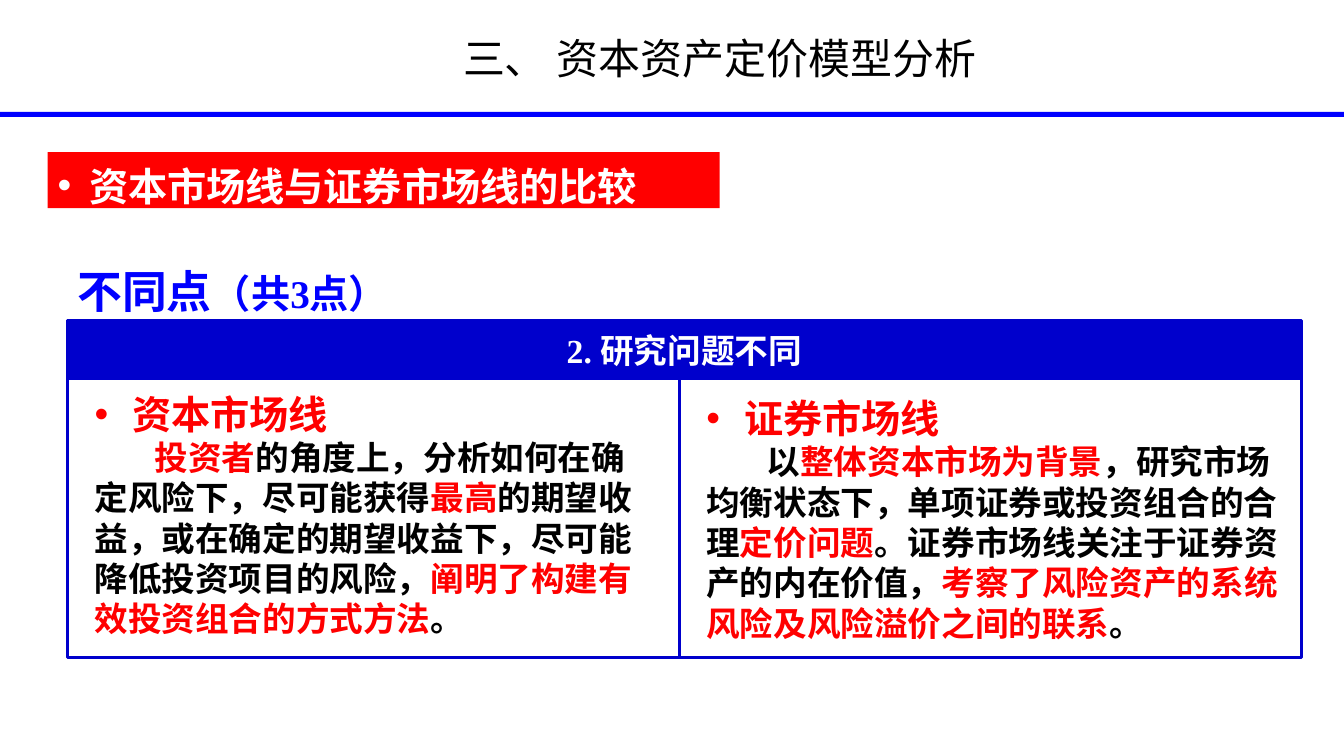
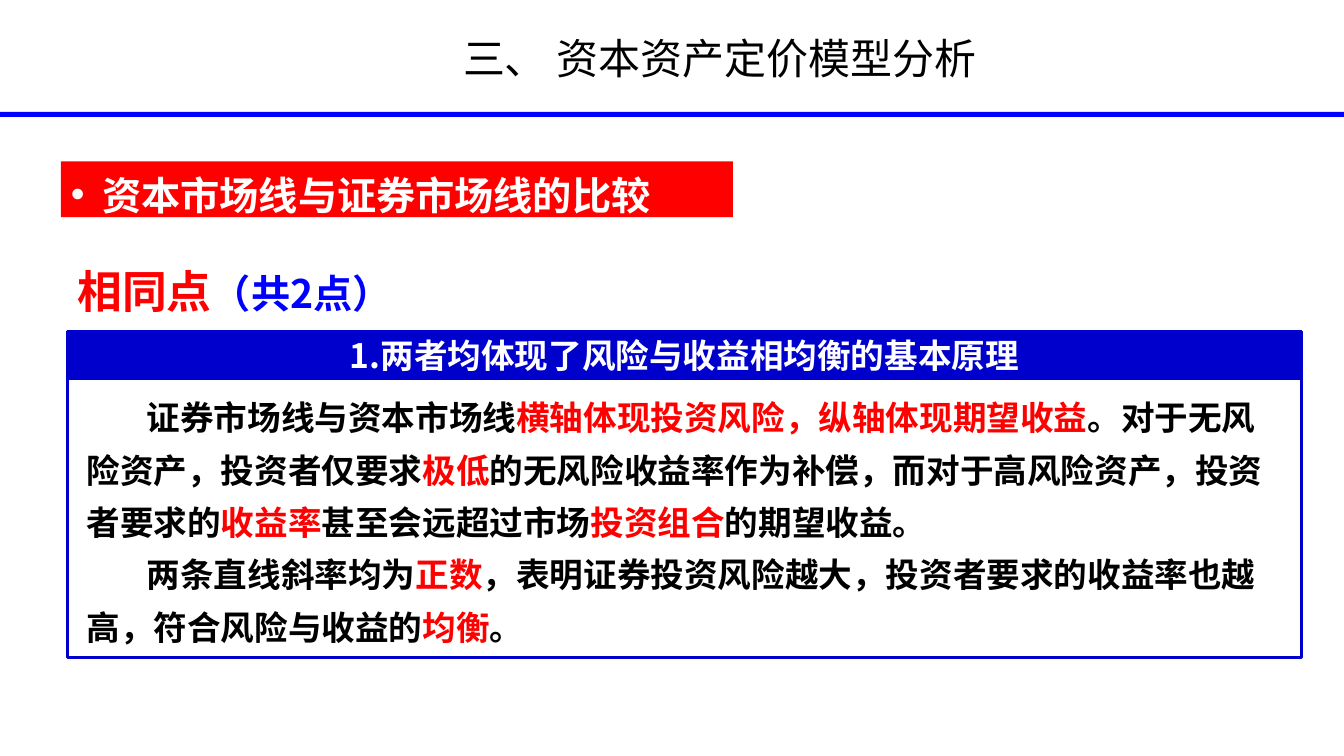
from lxml import etree
from pptx import Presentation
from pptx.dml.color import RGBColor
from pptx.enum import shapes, text
from pptx.oxml.ns import qn
from pptx.util import Pt

BLACK = RGBColor(0x00, 0x00, 0x00)
WHITE = RGBColor(0xFF, 0xFF, 0xFF)
RED = RGBColor(0xFF, 0x00, 0x00)
BLUE = RGBColor(0x00, 0x00, 0xFF)
NAVY = RGBColor(0x00, 0x00, 0xCC)
SANS = "Noto Sans CJK SC"
SERIF = "Times New Roman"
SLIDE_W, SLIDE_H = 960, 540
LEFT, PANEL_W = 48.2, 881.2
PANEL_TOP, PANEL_H = 270.8, 198.7
SPLIT = 437.2
FIRST_INDENT = 43


def add_run(p, content, color, size=24, bold=True, latin=SERIF):
    """Append one formatted run to a paragraph."""
    r = p.add_run()
    r.text = content
    r.font.size, r.font.bold, r.font.name = Pt(size), bold, latin
    r.font.color.rgb = color
    etree.SubElement(r.font._element, qn("a:ea"), typeface=SANS)


def indent(p, margin, first, bullet=False):
    """Set a paragraph's left margin and first-line offset, optionally with a bullet."""
    pPr = p._p.get_or_add_pPr()
    pPr.set("marL", str(Pt(margin)))
    pPr.set("indent", str(Pt(first)))
    if bullet:
        etree.SubElement(pPr, qn("a:buFont"), typeface="Arial")
        etree.SubElement(pPr, qn("a:buChar"), char="•")


def add_box(s, x, y, w, h, fill=None, line=None):
    """Draw a rectangle with an optional fill and outline."""
    sp = s.shapes.add_shape(shapes.MSO_SHAPE.RECTANGLE, Pt(x), Pt(y), Pt(w), Pt(h))
    sp.shadow.inherit = False
    if fill is None:
        sp.fill.background()
    else:
        sp.fill.solid()
        sp.fill.fore_color.rgb = fill
    if line is None:
        sp.line.fill.background()
    else:
        sp.line.color.rgb = line
        sp.line.width = Pt(2)
    return sp


def add_text(s, x, y, w, h):
    """Add a wrapping text box and return its text frame."""
    tf = s.shapes.add_textbox(Pt(x), Pt(y), Pt(w), Pt(h)).text_frame
    tf.word_wrap = True
    return tf


def add_body(p, runs, spacing=1.0):
    """Fill a paragraph with an indented first line from (text, colour) pairs."""
    indent(p, 0, FIRST_INDENT)
    p.line_spacing = spacing
    for content, color in runs:
        add_run(p, content, color)


def add_topic(s, x, y):
    """Draw the red topic banner."""
    tf = add_box(s, x, y, 480, 40, RED).text_frame
    tf.word_wrap = True
    tf.vertical_anchor = text.MSO_ANCHOR.TOP
    p = tf.paragraphs[0]
    p.alignment = text.PP_ALIGN.LEFT
    p.line_spacing = 1.1
    indent(p, 22.5, -22.5, bullet=True)
    add_run(p, "资本市场线与证券市场线的比较", WHITE, 28, latin=SANS)


def add_heading(s, name, color, count, latin):
    """Write the comparison heading with its number of points."""
    p = add_text(s, LEFT, 180.7, 480, 50).paragraphs[0]
    p.line_spacing = 1.1
    add_run(p, name, color, 32, latin=latin)
    add_run(p, count, BLUE, 28, latin=latin)


def add_band(s, h, content, latin):
    """Draw the navy band that sits on top of the panel."""
    tf = add_box(s, LEFT, PANEL_TOP - h, PANEL_W, h, NAVY, NAVY).text_frame
    tf.vertical_anchor = text.MSO_ANCHOR.MIDDLE
    p = tf.paragraphs[0]
    p.alignment = text.PP_ALIGN.CENTER
    add_run(p, content, WHITE, latin=latin)


def add_column(s, x, y, w, name, runs):
    """Write a bulleted red name and the paragraph below it."""
    tf = add_text(s, x, y, w, 186.5)
    p = tf.paragraphs[0]
    indent(p, 27, -27, bullet=True)
    add_run(p, name, RED, 28)
    add_body(tf.add_paragraph(), runs)


def new_slide(prs):
    """Add a slide with the shared title and rule."""
    s = prs.slides.add_slide(prs.slide_layouts[5])
    add_box(s, 0, 80, SLIDE_W, 3.6, BLUE)
    title = s.shapes.title
    title.left, title.top, title.width, title.height = Pt(247.7), Pt(13), Pt(532.8), Pt(56)
    tf = title.text_frame
    tf.auto_size = text.MSO_AUTO_SIZE.NONE
    tf.vertical_anchor = text.MSO_ANCHOR.MIDDLE
    p = tf.paragraphs[0]
    p.alignment = text.PP_ALIGN.CENTER
    add_run(p, "三、 资本资产定价模型分析", BLACK, 30, bold=False)
    return s


def build_differences(prs):
    """Build the slide on differing research questions."""
    s = new_slide(prs)
    add_topic(s, 34, 108.7)
    add_heading(s, "不同点", BLUE, "（共3点）", SERIF)
    add_band(s, 42, "2. 研究问题不同", SERIF)
    add_box(s, LEFT, PANEL_TOP, SPLIT, PANEL_H, line=NAVY)
    add_box(s, LEFT + SPLIT, PANEL_TOP, PANEL_W - SPLIT, PANEL_H, line=NAVY)
    add_column(s, 60.5, 275, 413.3, "资本市场线", [
        ("投资者", RED),
        ("的角度上，分析如何在确定风险下，尽可能获得", BLACK),
        ("最高", RED),
        ("的期望收益，或在确定的期望收益下，尽可能降低投资项目的风险，", BLACK),
        ("阐明了构建有效投资组合的方式方法", RED),
        ("。", BLACK),
    ])
    add_column(s, 497.5, 278, 432, "证券市场线", [
        ("以", BLACK),
        ("整体资本市场为背景", RED),
        ("，研究市场均衡状态下，单项证券或投资组合的合理", BLACK),
        ("定价问题", RED),
        ("。证券市场线关注于证券资产的内在价值，", BLACK),
        ("考察了风险资产的系统风险及风险溢价之间的联系", RED),
        ("。", BLACK),
    ])


def build_similarities(prs):
    """Build the slide on the shared risk and return principle."""
    s = new_slide(prs)
    add_topic(s, 43.5, 115.2)
    add_heading(s, "相同点", RED, "（共2点）", SANS)
    add_band(s, 34, "1.两者均体现了风险与收益相均衡的基本原理", SANS)
    add_box(s, LEFT, PANEL_TOP, PANEL_W, PANEL_H, line=NAVY)
    tf = add_text(s, 54.7, 271.5, 856, 196.5)
    add_body(tf.paragraphs[0], [
        ("证券市场线与资本市场线", BLACK),
        ("横轴体现投资风险，纵轴体现期望收益", RED),
        ("。对于无风险资产，投资者仅要求", BLACK),
        ("极低", RED),
        ("的无风险收益率作为补偿，而对于高风险资产，投资者要求的", BLACK),
        ("收益率", RED),
        ("甚至会远超过市场", BLACK),
        ("投资组合", RED),
        ("的期望收益。", BLACK),
    ], 1.3)
    add_body(tf.add_paragraph(), [
        ("两条直线斜率均为", BLACK),
        ("正数", RED),
        ("，表明证券投资风险越大，投资者要求的收益率也越高，符合风险与收益的", BLACK),
        ("均衡", RED),
        ("。", BLACK),
    ], 1.3)


def main():
    """Build and save the presentation."""
    prs = Presentation()
    prs.slide_width, prs.slide_height = Pt(SLIDE_W), Pt(SLIDE_H)
    build_differences(prs)
    build_similarities(prs)
    prs.save("out.pptx")


if __name__ == "__main__":
    main()
